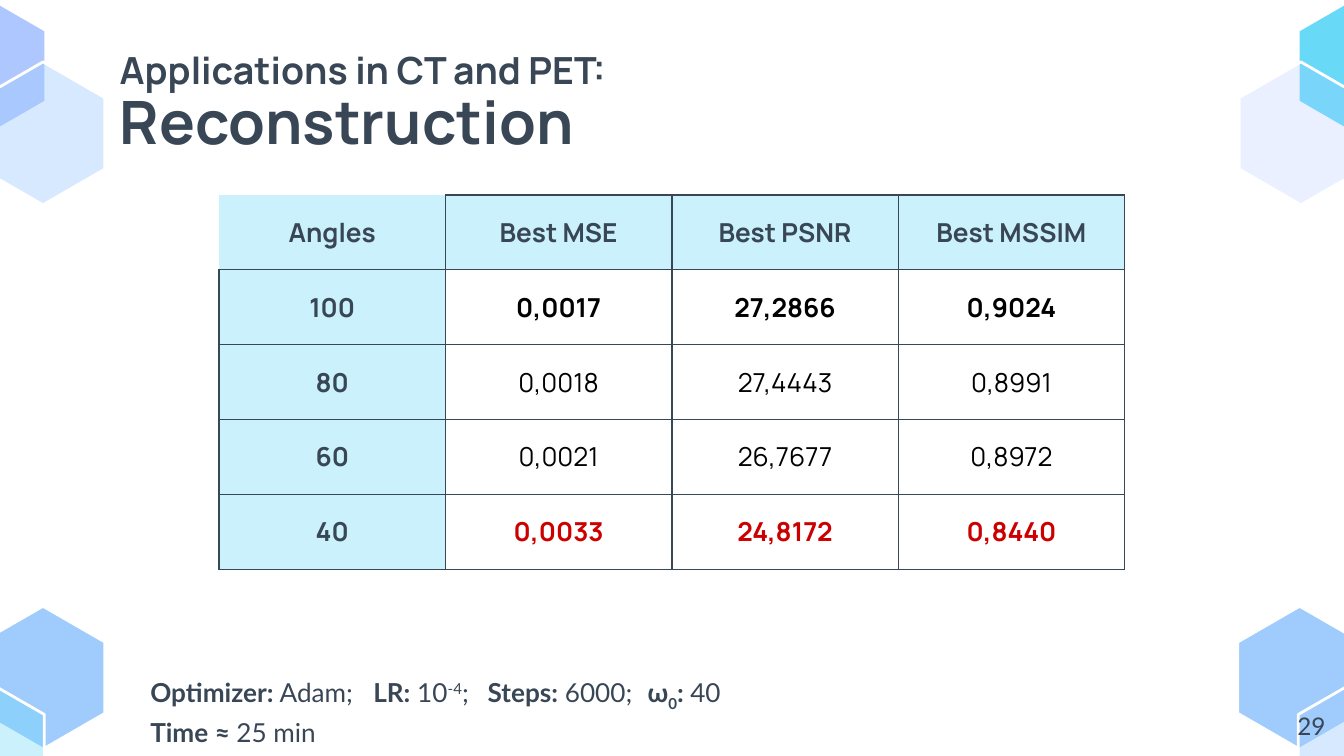
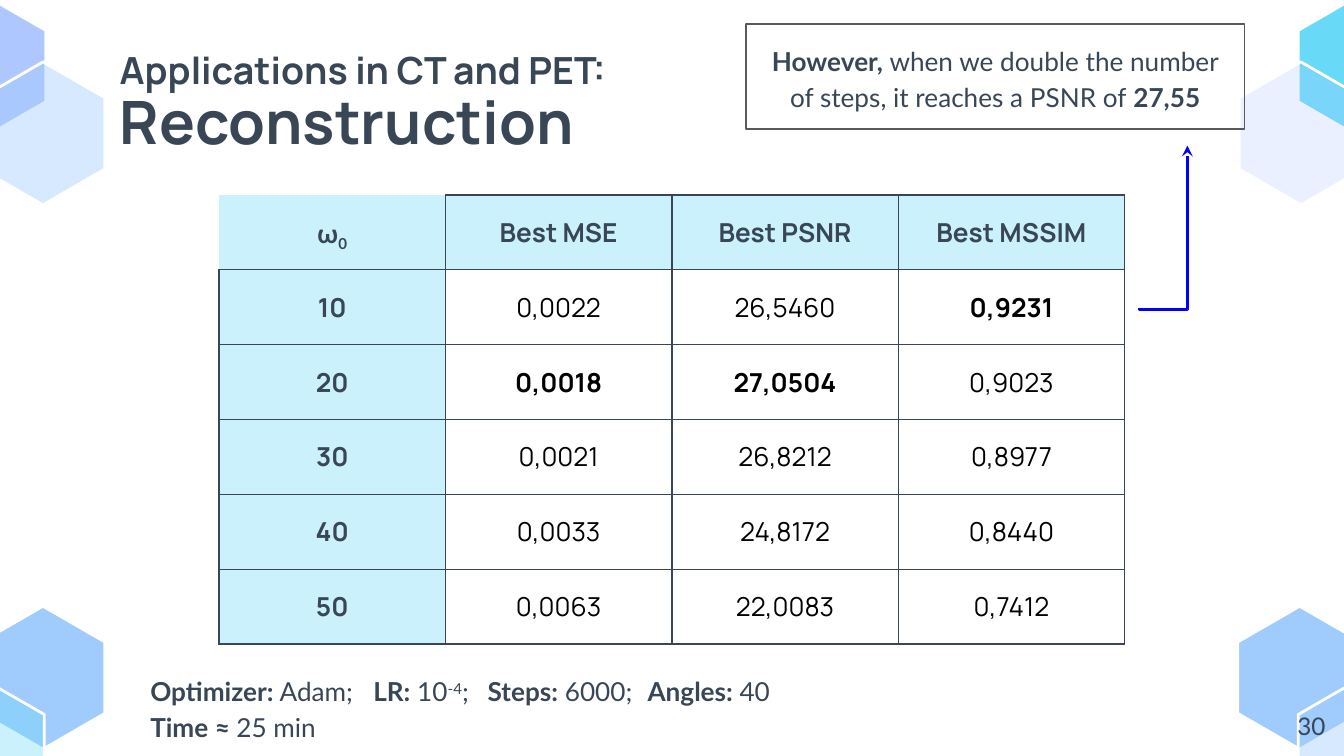
from typing import NamedTuple

from lxml import etree
from pptx import Presentation
from pptx.dml.color import RGBColor
from pptx.enum import shapes, text
from pptx.oxml.ns import qn
from pptx.util import Emu, Inches, Pt


# Theme: colours, fonts and type sizes
class Theme(NamedTuple):
    ink: str = "384655"
    black: str = "000000"
    red: str = "CC0000"
    white: str = "FFFFFF"
    cyan: str = "68DAF8"
    sky: str = "9FCBFD"
    lilac: str = "AFC7FF"
    arrow: str = "0000FF"
    frame: str = "595959"
    head: str = "Manrope"
    body: str = "Lato"
    small: int = 13
    base: int = 14
    kicker: int = 20
    title: int = 32
    tint: int = 34
    thin: float = 0.75
    thick: float = 1.5


T = Theme()
WIDE, HIGH = Inches(10), Inches(5.625)
MID, LEFT, RIGHT = text.PP_ALIGN.CENTER, text.PP_ALIGN.LEFT, text.PP_ALIGN.RIGHT


class Box(NamedTuple):
    """A box in percent of the slide's width and height."""
    x: float
    y: float
    w: float
    h: float

    def emu(self) -> tuple:
        return col(self.x), row(self.y), col(self.w), row(self.h)


class Hex(NamedTuple):
    x: float
    y: float
    color: str
    alpha: int = 100


class Run(NamedTuple):
    text: str
    bold: bool = False
    shift: int = 0
    size: int = 0


class Page(NamedTuple):
    number: int
    key: list
    rows: list
    marks: dict
    last: list


def col(share: float) -> Emu:
    return Emu(round(WIDE * share / 100))


def row(share: float) -> Emu:
    return Emu(round(HIGH * share / 100))


# Shared layout
HEX_W, HEX_H = 9.2, 18.9
HEXES = [
    Hex(-1.4, 80.2, T.sky), Hex(-5.9, 89.8, T.cyan, 34),
    Hex(96.6, -0.7, T.cyan), Hex(92.2, 8.2, T.lilac, 25),
    Hex(92.1, 80.2, T.sky), Hex(96.6, 89.8, T.sky, 41),
    Hex(-5.8, -0.7, T.lilac), Hex(-1.4, 8.2, T.sky, 41),
]
TITLE = Box(7.9, 3.2, 84.3, 21.3)
CELL = Box(16.3, 25.8, 16.85, 9.9)
NOTE = Box(10.2, 87, 59.3, 7.8)
NUMBER = Box(93.6, 92.3, 6, 7.6)
CALLOUT = Box(55.5, 3.2, 37.1, 13.9)
ARROW = Box(80.5, 26.8, 12.1, 6.4)
TABS = (1.66, 2.51, 3.7)

# Content
HEADS = ["Best MSE", "Best PSNR", "Best MSSIM"]
OMEGA = [Run("ω", True), Run("0", True, -25)]
SETUP = [
    Run("Optimizer:", True), Run(" Adam;\t"), Run("LR:", True), Run(" 10"),
    Run("-4", shift=30), Run(";\t"), Run("Steps:", True), Run(" 6000;\t"),
]
TIME = [Run("Time ≈ ", True), Run("25 min")]
PAGES = [
    Page(29, [Run("Angles", True)],
         [["100", "0,0017", "27,2866", "0,9024"],
          ["80", "0,0018", "27,4443", "0,8991"],
          ["60", "0,0021", "26,7677", "0,8972"],
          ["40", "0,0033", "24,8172", "0,8440"]],
         {(r, c): color for r, color in ((1, T.black), (4, T.red))
          for c in (1, 2, 3)},
         OMEGA + [Run(": ", True), Run("40")]),
    Page(30, OMEGA,
         [["10", "0,0022", "26,5460", "0,9231"],
          ["20", "0,0018", "27,0504", "0,9023"],
          ["30", "0,0021", "26,8212", "0,8977"],
          ["40", "0,0033", "24,8172", "0,8440"],
          ["50", "0,0063", "22,0083", "0,7412"]],
         {(1, 3): T.black, (2, 1): T.black, (2, 2): T.black},
         [Run("Angles: ", True), Run("40")]),
]


# Text and paint helpers
def write(frame, paras: list, *, font: str = T.body, size: int = T.base,
          color: str = T.ink, align=LEFT, gap: float = 1.0, tabs=()) -> None:
    for i, runs in enumerate(paras):
        para = frame.paragraphs[0] if i == 0 else frame.add_paragraph()
        para.alignment, para.line_spacing = align, gap
        if tabs:
            stops = etree.SubElement(para._p.get_or_add_pPr(), qn("a:tabLst"))
            for stop in tabs:
                etree.SubElement(stops, qn("a:tab"),
                                 pos=str(Inches(stop)), algn="l")
        for part in runs:
            run = para.add_run()
            run.text = part.text
            run.font.name, run.font.bold = font, part.bold
            run.font.size = Pt(part.size or size)
            run.font.color.rgb = RGBColor.from_string(color)
            if part.shift:
                run.font._element.set("baseline", str(part.shift * 1000))


def inset(frame, anchor) -> None:
    frame.word_wrap = True
    frame.auto_size = text.MSO_AUTO_SIZE.NONE
    frame.vertical_anchor = anchor
    frame.margin_left = frame.margin_right = Inches(0.1)
    frame.margin_top = frame.margin_bottom = Inches(0.1)


def paint(fill, owner, color: str, alpha: int = 100) -> None:
    fill.solid()
    fill.fore_color.rgb = RGBColor.from_string(color)
    if alpha < 100:
        tone = owner.find(qn("a:solidFill")).find(qn("a:srgbClr"))
        etree.SubElement(tone, qn("a:alpha"), val=str(alpha * 1000))


def stroke(line, color: str, width: float) -> None:
    line.color.rgb = RGBColor.from_string(color)
    line.width = Pt(width)


def label(slide, box: Box, paras: list, **form) -> None:
    frame = slide.shapes.add_textbox(*box.emu()).text_frame
    inset(frame, text.MSO_ANCHOR.TOP)
    write(frame, paras, **form)


# Corner hexagons
def draw_hex(slide, cell: Hex):
    x, mid, right = (col(cell.x + HEX_W * k) for k in (0, 0.5, 1))
    top, high, low, foot = (row(cell.y + HEX_H * k) for k in (0, 0.25, 0.75, 1))
    pen = slide.shapes.build_freeform(mid, top)
    pen.add_line_segments(
        [(x, high), (x, low), (mid, foot), (right, low), (right, high)])
    shape = pen.convert_to_shape()
    shape.shadow.inherit = False
    paint(shape.fill, shape.element.spPr, cell.color, cell.alpha)
    stroke(shape.line, T.white, T.thick)
    return shape


# Table
def edge(cell, sides: str) -> None:
    props = cell._tc.get_or_add_tcPr()
    for side in "LRTB":
        line = etree.SubElement(props, qn(f"a:ln{side}"), w=str(Pt(T.thin)))
        if side in sides:
            fill = etree.SubElement(line, qn("a:solidFill"))
            etree.SubElement(fill, qn("a:srgbClr"), val=T.ink)
        else:
            etree.SubElement(line, qn("a:noFill"))


def draw_table(slide, page: Page) -> None:
    count, wide = len(page.rows) + 1, len(HEADS) + 1
    box = Box(CELL.x, CELL.y, CELL.w * wide, CELL.h * count)
    table = slide.shapes.add_table(count, wide, *box.emu()).table
    table.first_row = table.horz_banding = False
    for r, values in enumerate([[""] + HEADS] + page.rows):
        table.rows[r].height = row(CELL.h)
        for c, value in enumerate(values):
            cell = table.cell(r, c)
            table.columns[c].width = col(CELL.w)
            cell.vertical_anchor = text.MSO_ANCHOR.MIDDLE
            cell.margin_left = cell.margin_right = Inches(0.1)
            cell.margin_top = cell.margin_bottom = Inches(0.1)
            corner, head = r == c == 0, r == 0 or c == 0
            edge(cell, "RB" if corner else "LRTB")
            if head:
                paint(cell.fill, cell._tc.tcPr, T.cyan, T.tint)
            else:
                cell.fill.background()
            runs = page.key if corner else [
                Run(value, head or (r, c) in page.marks)]
            greek = corner and page.key is OMEGA
            write(cell.text_frame, [runs], align=MID,
                  font=T.body if greek else T.head,
                  color=T.ink if head else page.marks.get((r, c), T.black),
                  gap=1.15 if greek else 1.0)


# Callout with its bent arrow
def draw_callout(slide) -> None:
    shape = slide.shapes.add_shape(
        shapes.MSO_SHAPE.RECTANGLE, *CALLOUT.emu())
    shape.shadow.inherit = False
    shape.fill.background()
    stroke(shape.line, T.frame, T.thin)
    inset(shape.text_frame, text.MSO_ANCHOR.MIDDLE)
    write(shape.text_frame, [[
        Run("However, ", True),
        Run("when we double the number of steps, it reaches a PSNR of "),
        Run("27,55", True)]], align=MID, gap=1.15)

    x, y, w, h = ARROW.emu()
    link = slide.shapes.add_connector(
        shapes.MSO_CONNECTOR.ELBOW, x, y, x + w, y + h)
    stroke(link.line, T.arrow, T.thick)
    props = link.element.spPr
    props.find(qn("a:xfrm")).set("rot", str(270 * 60000))
    shape_def = props.find(qn("a:prstGeom"))
    guides = shape_def.find(qn("a:avLst"))
    if guides is None:
        guides = etree.SubElement(shape_def, qn("a:avLst"))
    etree.SubElement(guides, qn("a:gd"), name="adj1", fmla="val -900")
    etree.SubElement(props.find(qn("a:ln")), qn("a:tailEnd"), type="stealth")
    etree.SubElement(props, qn("a:effectLst"))


# Slides
def draw_page(slide, page: Page) -> None:
    title = slide.shapes.title
    title.left, title.top, title.width, title.height = TITLE.emu()
    inset(title.text_frame, text.MSO_ANCHOR.MIDDLE)
    write(title.text_frame,
          [[Run("Applications in CT and PET:", True, size=T.kicker)],
           [Run("Reconstruction", True, size=T.title)]],
          font=T.head, gap=0.9)
    draw_table(slide, page)
    label(slide, NOTE, [SETUP + page.last, TIME], gap=1.15, tabs=TABS)
    label(slide, NUMBER, [[Run(str(page.number))]], size=T.small, align=RIGHT)


def main() -> None:
    deck = Presentation()
    deck.slide_width, deck.slide_height = WIDE, HIGH
    layout = deck.slide_layouts[5]
    slides = [deck.slides.add_slide(layout) for _ in PAGES]
    # The hexagons belong to the layout, so every slide shows them
    for cell in HEXES:
        layout.shapes.element.append(draw_hex(slides[0], cell).element)
    for slide, page in zip(slides, PAGES):
        draw_page(slide, page)
    draw_callout(slides[-1])
    deck.save("out.pptx")


if __name__ == "__main__":
    main()
